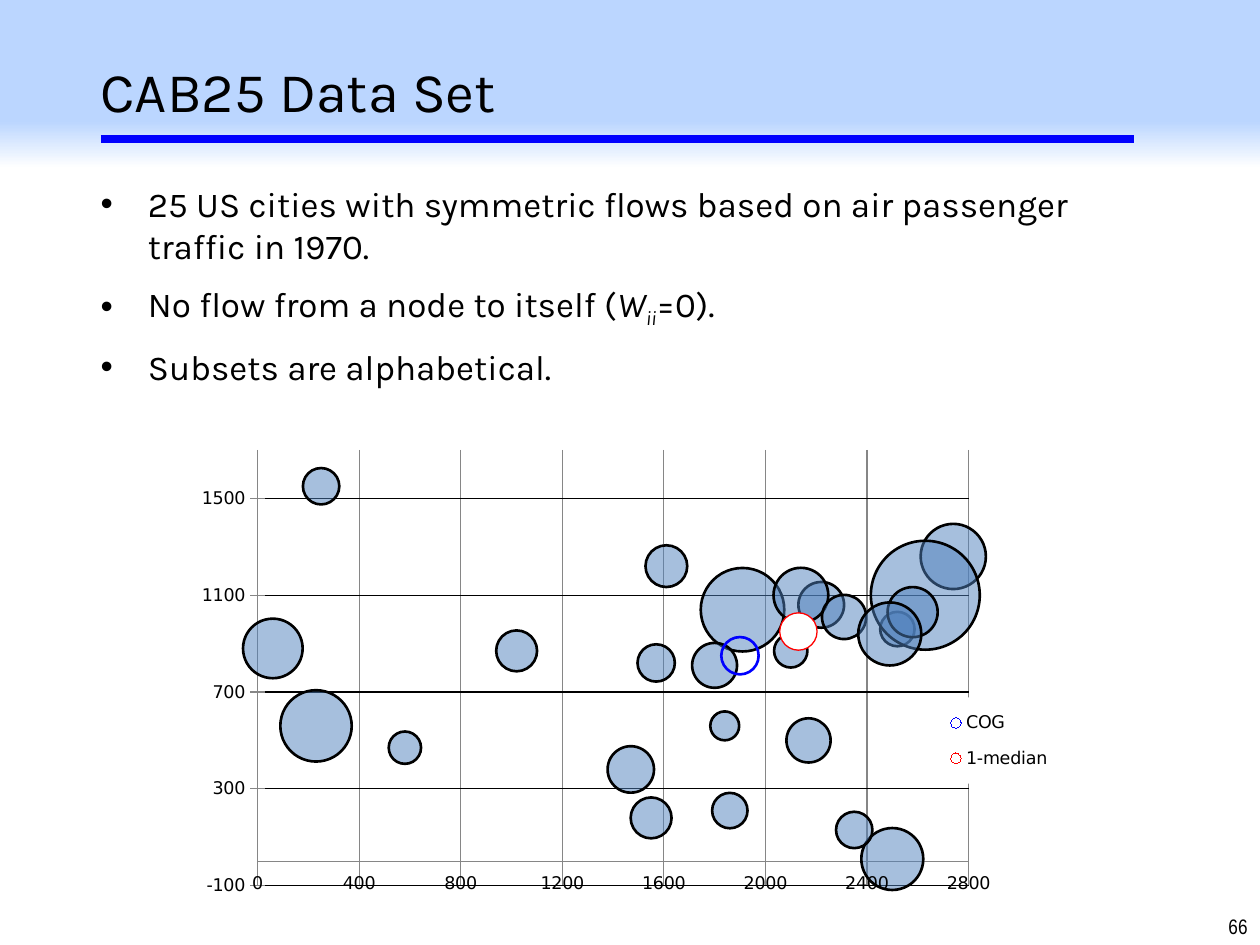
from lxml import etree
from pptx import Presentation
from pptx.chart.data import BubbleChartData
from pptx.dml.color import RGBColor
from pptx.enum.chart import XL_CHART_TYPE, XL_LEGEND_POSITION, XL_TICK_MARK
from pptx.enum.shapes import MSO_CONNECTOR, MSO_SHAPE
from pptx.enum.text import MSO_ANCHOR, MSO_AUTO_SIZE, PP_ALIGN
from pptx.oxml import parse_xml
from pptx.oxml.ns import nsdecls, qn
from pptx.util import Pt

BUBBLE = XL_CHART_TYPE.BUBBLE
RIGHT = XL_LEGEND_POSITION.RIGHT
CROSS = XL_TICK_MARK.CROSS
STRAIGHT = MSO_CONNECTOR.STRAIGHT
RECT = MSO_SHAPE.RECTANGLE

BLACK = RGBColor(0, 0, 0)
WHITE = RGBColor(255, 255, 255)
BLUE = RGBColor(0, 0, 255)
RED = RGBColor(255, 0, 0)
SKY = RGBColor(0xBB, 0xD6, 0xFF)
STEEL = RGBColor(0x4F, 0x81, 0xBD)
GRAY = RGBColor(0x86, 0x86, 0x86)

# x, y and share of the flow for each city
CITIES = [
    (2170, 500, 0.028), (2520, 960, 0.017), (2740, 1260, 0.061),
    (1910, 1040, 0.1), (2100, 870, 0.016), (2220, 1060, 0.03),
    (1470, 380, 0.031), (1020, 870, 0.024), (2140, 1100, 0.043),
    (1550, 180, 0.024), (1570, 820, 0.02), (230, 560, 0.073),
    (1840, 560, 0.012), (2500, 10, 0.055), (1610, 1220, 0.025),
    (1860, 210, 0.018), (2630, 1100, 0.17), (2580, 1030, 0.036),
    (580, 470, 0.015), (2310, 1010, 0.028), (1800, 810, 0.029),
    (60, 880, 0.051), (250, 1550, 0.019), (2350, 130, 0.019),
    (2490, 940, 0.057),
]
# name, points, fill, line colour, line width
SERIES = [
    ("Series 1", CITIES, STEEL, BLACK, 1.5),
    ("COG", [(1900, 850, 0.02)], None, BLUE, 1.5),
    ("1-median", [(2130, 950, 0.02)], WHITE, RED, 0.75),
]
# text, italic, baseline
POINTS = [
    [("25 US cities with symmetric flows based on air passenger "
      "traffic in 1970.", False, 0)],
    [("No flow from a node to itself (", False, 0), ("W", True, 0),
     ("ii", True, -25000), ("=0).", False, 0)],
    [("Subsets are alphabetical.", False, 0)],
]


def px(n):
    return round(n * 914400 / 126)


def place(shape, box):
    shape.left, shape.top, shape.width, shape.height = map(px, box)


def style(font, name, size):
    font.name, font.size, font.color.rgb = name, Pt(size), BLACK


def add_title(slide, box, text):
    x, y, w, h = box
    title = slide.shapes.title
    place(title, (x + 88, y + 25, 1071, 130))
    frame = title.text_frame
    frame.text = text
    frame.vertical_anchor = MSO_ANCHOR.MIDDLE
    para = frame.paragraphs[0]
    para.alignment = PP_ALIGN.LEFT
    style(para.font, "Karla", 32)

    # Fading band behind the title
    band = slide.shapes.add_shape(RECT, *map(px, box))
    band.shadow.inherit = False
    band.line.fill.background()
    band.fill.gradient()
    band.fill.gradient_angle = 90
    stops = band.fill.gradient_stops
    for stop, pos, color in zip(stops, (0, 0.28), (WHITE, SKY)):
        stop.position, stop.color.rgb = pos, color
    title.element.addprevious(band.element)

    # Rule under the title
    rule = slide.shapes.add_connector(
        STRAIGHT, px(x + 101), px(y + 139), px(x + 1134), px(y + 139))
    rule.line.color.rgb, rule.line.width = BLUE, Pt(4.5)
    etree.SubElement(rule.element.spPr, qn("a:effectLst"))


def add_list(slide, box):
    body = slide.placeholders[1]
    place(body, box)
    frame = body.text_frame
    frame.auto_size = MSO_AUTO_SIZE.NONE
    for i, parts in enumerate(POINTS):
        para = frame.add_paragraph() if i else frame.paragraphs[0]
        para.space_before = Pt(9 if i else 0)
        style(para.font, "Karla", 20)
        for text, slant, base in parts:
            run = para.add_run()
            run.text = text
            if slant:
                run.font.italic = True
            if base:
                run._r.get_or_add_rPr().set("baseline", str(base))


def layout(x, y, w, h, inner=False):
    target = '<c:layoutTarget val="inner"/>' if inner else ""
    return parse_xml(
        f'<c:layout {nsdecls("c")}><c:manualLayout>{target}'
        '<c:xMode val="edge"/><c:yMode val="edge"/>'
        f'<c:x val="{x}"/><c:y val="{y}"/><c:w val="{w}"/><c:h val="{h}"/>'
        '</c:manualLayout></c:layout>')


def set_axis(axis, low, high, color):
    axis.minimum_scale, axis.maximum_scale = low, high
    axis.major_unit = 400
    axis.major_tick_mark = CROSS
    axis.has_major_gridlines = True
    grid = axis.major_gridlines.format.line
    for line, tone in ((grid, color), (axis.format.line, GRAY)):
        line.color.rgb, line.width = tone, Pt(0.75)


def set_legend(chart):
    chart.has_legend = True
    chart.legend.position = RIGHT
    chart.legend.include_in_layout = False
    key = chart.legend._element
    for old in key.findall(qn("c:layout")):
        key.remove(old)
    lap = key.find(qn("c:overlay"))
    # The city series stays out of the legend
    lap.addprevious(parse_xml(
        f'<c:legendEntry {nsdecls("c")}><c:idx val="0"/>'
        '<c:delete val="1"/></c:legendEntry>'))
    lap.addprevious(layout(0.86, 0.54, 0.13, 0.16))
    lap.addnext(parse_xml(
        f'<c:spPr {nsdecls("c", "a")}><a:solidFill>'
        f'<a:srgbClr val="{WHITE}"/></a:solidFill></c:spPr>'))


def add_map(slide, box):
    data = BubbleChartData()
    for name, points, *_ in SERIES:
        row = data.add_series(name)
        for point in points:
            row.add_data_point(*point)
    chart = slide.shapes.add_chart(BUBBLE, *map(px, box), data).chart
    chart.has_title = False
    style(chart.font, "DejaVu Sans", 10)
    plot = chart.plots[0]
    plot.bubble_scale = 100

    # Bubble colours
    for row, (_, _, fill, edge, width) in zip(plot.series, SERIES):
        form = row.format
        if fill is None:
            form.fill.background()
        else:
            form.fill.solid()
            form.fill.fore_color.rgb = fill
        form.line.color.rgb, form.line.width = edge, Pt(width)
    tint = plot.series[0]._element.find(
        f'{qn("c:spPr")}/{qn("a:solidFill")}/{qn("a:srgbClr")}')
    etree.SubElement(tint, qn("a:alpha")).set("val", "50000")

    # Axes, plot area and legend
    set_axis(chart.category_axis, 0, 2800, GRAY)
    set_axis(chart.value_axis, -100, 1700, BLACK)
    area = chart.element.find(f'{qn("c:chart")}/{qn("c:plotArea")}')
    for old in area.findall(qn("c:layout")):
        area.remove(old)
    area.insert(0, layout(0.07, 0.08, 0.82, 0.81, True))
    set_legend(chart)


def add_number(slide, box, text):
    frame = slide.shapes.add_textbox(*map(px, box)).text_frame
    frame.word_wrap = True
    frame.text = text
    para = frame.paragraphs[0]
    para.alignment = PP_ALIGN.RIGHT
    style(para.font, "Arial Narrow", 12)


def main():
    deck = Presentation()
    deck.slide_width, deck.slide_height = px(1260), px(945)
    slide = deck.slides.add_slide(deck.slide_layouts[1])
    add_title(slide, (0, 0, 1260, 168), "CAB25 Data Set")
    add_list(slide, (88, 176, 1084, 226))
    add_map(slide, (197, 407, 867, 538))
    add_number(slide, (1106, 907, 154, 38), "66")
    deck.save("out.pptx")


if __name__ == "__main__":
    main()
